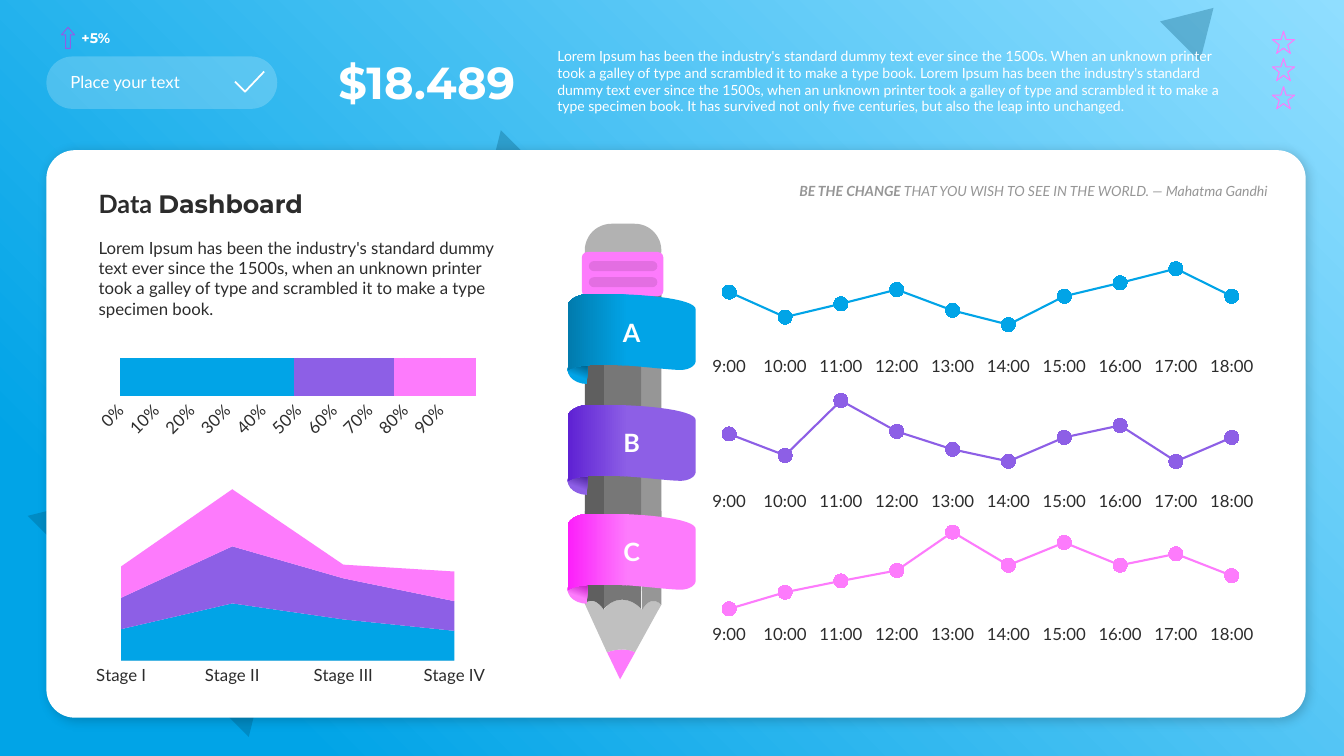
from lxml import etree
from pptx import Presentation, util as u
from pptx.chart.data import CategoryChartData
from pptx.dml.color import RGBColor
from pptx.enum import chart as ch, shapes, text
from pptx.oxml import parse_xml
from pptx.oxml.ns import nsdecls, qn

PX = 9144  # one hundred px to the inch
BLUE, VIOLET, PINK = "01A4E7", "8D5FE6", "FD7BFC"
NAVY, INK, GREY, WHITE, BLACK = "005274", "2C2C2C", "969696", "FFFFFF", "000000"
SIDE = {"l": text.PP_ALIGN.LEFT, "c": text.PP_ALIGN.CENTER, "r": text.PP_ALIGN.RIGHT}
ANCHOR = {"t": text.MSO_ANCHOR.TOP, "m": text.MSO_ANCHOR.MIDDLE, "b": text.MSO_ANCHOR.BOTTOM}
FORM = shapes.MSO_SHAPE
LOREM = "Lorem Ipsum has been the industry's standard dummy text ever since the 1500s"
GALLEY = "an unknown printer took a galley of type and scrambled it to make a type"


def rgb(code):
    return RGBColor.from_string(code)


def emu(*vals):
    return [round(v * PX) for v in vals]


def write(frame, *runs, font="Lato", size=12, color=WHITE, bold=False, italic=False,
          side="l", anchor="m", inset=(10, 5)):
    """Each run is a string or a pair of a string and its own format."""
    frame.word_wrap = True
    frame.vertical_anchor = ANCHOR[anchor]
    frame.margin_left = frame.margin_right = inset[0] * PX
    frame.margin_top = frame.margin_bottom = inset[1] * PX
    para = frame.paragraphs[0]
    para.alignment = SIDE[side]
    for item in runs:
        words, own = (item, {}) if isinstance(item, str) else item
        run = para.add_run()
        run.text = words
        run.font.name = own.get("font", font)
        run.font.bold = own.get("bold", bold)
        run.font.italic = italic
        run.font.size = u.Pt(size)
        run.font.color.rgb = rgb(color)


def curve(start, steps):
    """Turns lines (2 numbers) and cubic curves (6 numbers) into points."""
    pts = [start]
    for step in steps:
        if len(step) == 2:
            pts.append(step)
            continue
        ends = [pts[-1], step[:2], step[2:4], step[4:]]
        for n in range(1, 17):
            t = n / 16
            mix = ((1 - t) ** 3, 3 * t * (1 - t) ** 2, 3 * t * t * (1 - t), t ** 3)
            pts.append(tuple(sum(m * p[k] for m, p in zip(mix, ends)) for k in (0, 1)))
    return pts


class Board:
    def __init__(self, wide, high):
        self.deck = Presentation()
        self.deck.slide_width, self.deck.slide_height = emu(wide, high)
        self.slide = self.deck.slides.add_slide(self.deck.slide_layouts[6])
        self.items = self.slide.shapes

    def paint(self, shape, fill=None, alpha=None, line=None, width=0.75):
        shape.shadow.inherit = False
        if fill is None:
            shape.fill.background()
        else:
            shape.fill.solid()
            shape.fill.fore_color.rgb = rgb(fill)
        if alpha is not None:
            clr = shape.fill._xPr.find(".//" + qn("a:srgbClr"))
            etree.SubElement(clr, qn("a:alpha")).set("val", str(alpha * 1000))
        if line:
            shape.line.color.rgb = rgb(line)
            shape.line.width = u.Pt(width)
        else:
            shape.line.fill.background()
        return shape

    def blend(self, shape, stops, angle=0):
        shape.fill.gradient()
        shape.fill.gradient_angle = angle
        for stop, (place, color) in zip(shape.fill.gradient_stops, stops):
            stop.position = place / 100
            stop.color.rgb = rgb(color)

    def form(self, kind, box, fill=None, adj=(), turn=0, **look):
        shape = self.items.add_shape(kind, *emu(*box))
        for n, val in enumerate(adj):
            shape.adjustments[n] = val
        shape.rotation = turn
        return self.paint(shape, fill, **look)

    def free(self, start, steps, fill=None, close=True, **look):
        first, *rest = [tuple(emu(*p)) for p in curve(start, steps)]
        pen = self.items.build_freeform(*first, scale=1.0)
        pen.add_line_segments(rest, close=close)
        return self.paint(pen.convert_to_shape(), fill, **look)

    def label(self, box, *runs, **fmt):
        write(self.items.add_textbox(*emu(*box)).text_frame, *runs, **fmt)

    def chart(self, kind, box, cats, rows, plot, top):
        data = CategoryChartData()
        data.categories = cats
        for n, vals in enumerate(rows, 1):
            data.add_series(f"Series {n}", vals)
        chart = self.items.add_chart(kind, *emu(*box), data).chart
        chart.has_legend = chart.has_title = False
        chart.font.name, chart.font.size = "Lato", u.Pt(12)
        chart.font.color.rgb = rgb(INK)
        chart.plots[0].vary_by_categories = False
        for axis in (chart.category_axis, chart.value_axis):
            axis.major_tick_mark = axis.minor_tick_mark = ch.XL_TICK_MARK.NONE
            axis.has_major_gridlines = False
            axis.format.line.fill.background()
        chart.value_axis.visible = False
        chart.value_axis.minimum_scale, chart.value_axis.maximum_scale = 0, top
        # Place the plot by its inner frame
        area = chart._chartSpace.find(".//" + qn("c:plotArea"))
        for old in area.findall(qn("c:layout")):
            area.remove(old)
        marks = "".join(f'<c:{k} val="{v}"/>' for k, v in zip("xywh", plot))
        area.insert(0, parse_xml(
            f'<c:layout {nsdecls("c")}><c:manualLayout><c:layoutTarget val="inner"/>'
            f'<c:xMode val="edge"/><c:yMode val="edge"/>{marks}</c:manualLayout></c:layout>'))
        return chart

    def ribbon(self, y, mark, light, mid, dark):
        fold = self.form(FORM.CHORD, (563, y + 61, 39, 28), light, (54.61, 162))
        self.blend(fold, [(27, light), (69, dark)], 70)
        band = self.free((690, y + 15), [
            (691, y + 4, 630, y - 2, 580, y), (572, y + 1, 563, y + 6, 563, y + 12),
            (563, y + 75), (585, y + 63, 654, y + 75, 675, y + 75),
            (683, y + 75, 690, y + 71, 690, y + 66)], light)
        self.blend(band, [(53, light), (100, mid)], 180)
        write(band.text_frame, mark, size=18, bold=True, side="c")


def main():
    b = Board(1333, 750)

    # Background
    sky = b.form(FORM.RECTANGLE, (0, 0, 1333, 750), BLUE)
    b.blend(sky, [(0, "90DEFF"), (85, BLUE)])
    lin = sky.fill._xPr.find(".//" + qn("a:lin"))
    lin.getparent().replace(lin, parse_xml(
        f'<a:path {nsdecls("a")} path="circle"><a:fillToRect l="100000" b="100000"/></a:path>'))
    for box, turn in (((73, 402, 310, 257), 45), ((457, 150, 90, 75), 225), ((1159, 1, 56, 47), 45)):
        b.form(FORM.ISOSCELES_TRIANGLE, box, NAVY, turn=turn, alpha=30)

    # Header
    b.form(FORM.ROUNDED_RECTANGLE, (46, 56, 229, 52), WHITE, (0.5,), alpha=20)
    b.free((233, 81), [(243, 91), (262, 71)], close=False, line=WHITE, width=1.25)
    b.label((60, 66, 188, 30), "Place your text")
    b.label((319, 49, 202, 64), "$18.489", font="Montserrat", size=32, bold=True, side="r")
    b.label((543, 42, 698, 77), f"{LOREM}. When {GALLEY} book. {LOREM}, when {GALLEY} specimen book. "
            "It has survived not only five centuries, but also the leap into unchanged.", size=10)
    b.label((74, 24, 42, 27), "+5%", font="Montserrat", size=10, bold=True,
            side="c", anchor="t", inset=(0, 5))
    b.form(FORM.UP_ARROW, (61, 27, 13, 21), adj=(0.36, 0.58), line=VIOLET)
    for y in (86, 58, 31):
        b.form(FORM.STAR_5_POINT, (1262, y, 22, 22), line=PINK)

    # Card
    card = b.form(FORM.ROUNDED_RECTANGLE, (46, 149, 1249, 563), WHITE, (0.05,))
    glow = card._element.spPr.find(qn("a:effectLst"))
    glow.append(parse_xml(
        f'<a:outerShdw {nsdecls("a")} blurRad="{u.Pt(8)}" dist="{u.Pt(3)}" dir="2700000" algn="tl">'
        '<a:srgbClr val="000000"><a:alpha val="20000"/></a:srgbClr></a:outerShdw>'))

    # Stage areas
    tints = (BLUE, VIOLET, PINK)
    stages = b.chart(ch.XL_CHART_TYPE.AREA_STACKED, (88, 464, 403, 220),
                     [f"Stage {n}" for n in ("I", "II", "III", "IV")],
                     [(55, 100, 72, 52), (55, 100, 72, 52), (55, 100, 24, 52)],
                     (0.08, 0.02, 0.82, 0.85), 330)
    stages._chartSpace.find(".//" + qn("c:crossBetween")).set("val", "midCat")
    rule = stages.category_axis.format.line
    rule.color.rgb, rule.width = rgb("DFDFDF"), u.Pt(0.75)

    # Intro
    b.label((88, 231, 433, 91), f"{LOREM}, when {GALLEY} specimen book.", color=INK, anchor="t")
    b.label((88, 182, 433, 40), "Data ", ("Dashboard", {"font": "Montserrat"}),
            size=18, color=INK, bold=True, anchor="b")

    # Share bar
    share = b.chart(ch.XL_CHART_TYPE.BAR_STACKED_100, (87, 353, 401, 89), ["1"],
                    [(49,), (28,), (23,)], (0.08, 0.02, 0.88, 0.43), 1)
    share.plots[0].gap_width, share.plots[0].overlap = 0, 100
    share.category_axis.visible = False
    scale = share.value_axis
    scale.visible, scale.major_unit, scale.has_major_gridlines = True, 0.1, True
    grid = scale.major_gridlines.format.line
    grid.color.rgb, grid.width = rgb("DFDFDF"), u.Pt(0.75)
    scale.tick_labels.number_format, scale.tick_labels.number_format_is_linked = "0%", False
    scale.tick_labels.font.size = u.Pt(12)
    scale._element.find(qn("c:txPr")).find(qn("a:bodyPr")).set("rot", "-2700000")
    for chart in (stages, share):
        for row, tint in zip(chart.plots[0].series, tints):
            row.format.fill.solid()
            row.format.fill.fore_color.rgb = rgb(tint)

    # Pencil tip and barrel
    b.free((630, 647), [(615, 674), (602, 647), (603, 647, 617, 641, 630, 647)], PINK)
    b.free((580, 599), [(581, 598, 583, 596, 587, 596), (593, 596, 599, 605, 599, 605),
                        (601, 602, 607, 595, 617, 595), (627, 595, 634, 602, 637, 605),
                        (646, 589, 656, 600, 656, 600), (652, 607), (630, 647),
                        (617, 641, 603, 647, 602, 647)], "C0C0C0")
    b.free((637, 605), [(636, 507), (656, 507), (656, 600), (656, 600, 646, 589, 637, 605)], GREY)
    b.free((617, 595), [(607, 595, 601, 602, 599, 604), (599, 507), (636, 507), (636, 604),
                        (634, 602, 627, 595, 617, 595)], "777777")
    b.free((599, 605), [(599, 605, 593, 596, 587, 596), (583, 596, 581, 598, 580, 599),
                        (580, 507), (599, 507)], "5F5F5F")
    for x, wide, tint in ((636, 20, GREY), (599, 37, "777777"), (580, 19, "5F5F5F")):
        b.form(FORM.RECTANGLE, (x, 289, wide, 228), tint)

    # Pencil eraser
    b.form(FORM.RECTANGLE, (580, 285, 76, 14), BLACK, alpha=20)
    b.form(FORM.ROUNDED_RECTANGLE, (580, 222, 76, 53), "B2B2B2", (0.5,))
    b.form(FORM.ROUNDED_RECTANGLE, (577, 250, 81, 44), PINK, (0.13,))
    for y in (259, 275):
        b.form(FORM.ROUNDED_RECTANGLE, (584, y, 68, 10), BLACK, (0.5,), alpha=10)

    # Ribbons
    b.ribbon(510, "C", PINK, "FC1EFA", "B903B8")
    b.ribbon(402, "B", VIOLET, "5E21D3", "3E168D")
    b.ribbon(292, "A", BLUE, "017BAD", NAVY)

    # Quote
    b.label((560, 176, 701, 27), ("BE THE CHANGE ", {"bold": True}),
            "THAT YOU WISH TO SEE IN THE WORLD. ― Mahatma Gandhi",
            size=10, color=GREY, italic=True, side="r", inset=(4, 5))

    # Hourly lines
    hours = [f"{h}:00" for h in range(9, 19)]
    for y, tint, top, vals in (
            (250, BLUE, 117, (72, 42, 58, 75, 50, 33, 67, 83, 100, 67)),
            (383, VIOLET, 114, (61, 36, 100, 64, 43, 29, 57, 71, 29, 57)),
            (515, PINK, 112, (12, 31, 44, 56, 100, 62, 88, 62, 75, 50))):
        chart = b.chart(ch.XL_CHART_TYPE.LINE_MARKERS, (684, y, 577, 126), hours, [vals],
                        (0.02, 0.02, 0.96, 0.77), top)
        row = chart.plots[0].series[0]
        row.smooth = False
        row.format.line.color.rgb, row.format.line.width = rgb(tint), u.Pt(1.5)
        row.marker.style, row.marker.size = ch.XL_MARKER_STYLE.CIRCLE, 10
        row.marker.format.fill.solid()
        row.marker.format.fill.fore_color.rgb = rgb(tint)
        row.marker.format.line.color.rgb = rgb(tint)

    b.deck.save("out.pptx")


if __name__ == "__main__":
    main()
